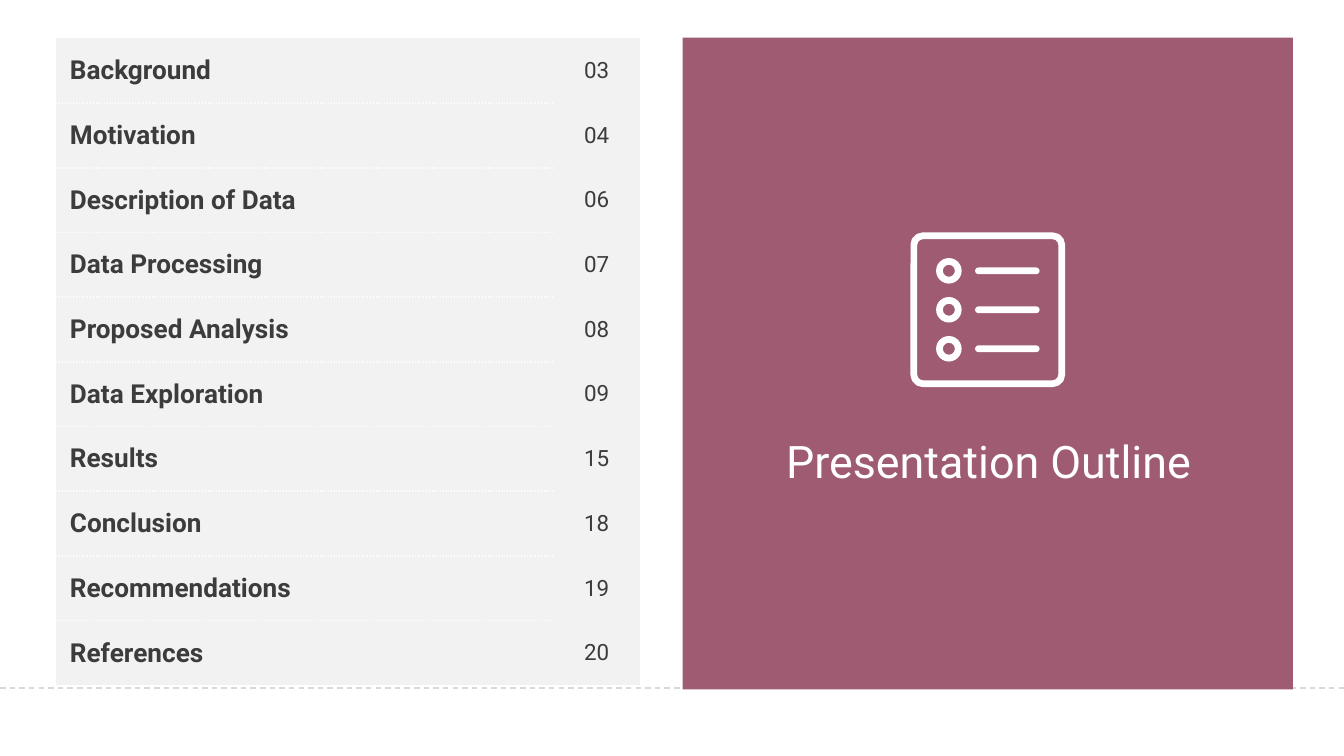
from lxml.etree import SubElement
from pptx import Presentation
from pptx.dml.color import RGBColor
from pptx.enum.dml import MSO_LINE
from pptx.enum.shapes import MSO_CONNECTOR, MSO_SHAPE
from pptx.enum.text import MSO_ANCHOR, MSO_AUTO_SIZE, PP_ALIGN
from pptx.oxml import parse_xml
from pptx.oxml.ns import nsdecls, qn
from pptx.util import Pt

PX = 4572  # EMU per px, 200 px to the inch
FONT = "Roboto"
COLORS = {
    "panel": "9F5B72",
    "cell": "F2F2F2",
    "text": "3C3C3C",
    "white": "FFFFFF",
    "rule": "D9D9D9",
}
NO_TABLE_STYLE = "{2D5ABB26-0587-4C30-8999-92F81FD0307C}"
OUTLINE = [
    ("Background", "03"),
    ("Motivation", "04"),
    ("Description of Data", "06"),
    ("Data Processing", "07"),
    ("Proposed Analysis", "08"),
    ("Data Exploration", "09"),
    ("Results", "15"),
    ("Conclusion", "18"),
    ("Recommendations", "19"),
    ("References", "20"),
]


def px(*lengths):
    return [length * PX for length in lengths]


def color(name):
    return RGBColor.from_string(COLORS[name])


def add_filled(shapes, kind, box, fill):
    shape = shapes.add_shape(kind, *px(*box))
    shape.shadow.inherit = False
    shape.fill.solid()
    shape.fill.fore_color.rgb = color(fill)
    shape.line.fill.background()
    return shape


def format_paragraph(paragraph, size, color_name, bold=False, align=PP_ALIGN.LEFT):
    paragraph.alignment = align
    for run in paragraph.runs:
        run.font.name = FONT
        run.font.size = Pt(size)
        run.font.bold = bold
        run.font.color.rgb = color(color_name)


def add_footer_rule(slide, left, top, width):
    rule = slide.shapes.add_connector(
        MSO_CONNECTOR.STRAIGHT, *px(left, top, left + width, top))
    rule.line.color.rgb = color("rule")
    rule.line.width = Pt(0.75)
    rule.line.dash_style = MSO_LINE.DASH
    SubElement(rule._element.spPr, qn("a:effectLst"))


def set_dotted_borders(cell, sides):
    """Draw white dotted borders on the sides, given in the order T, B."""
    for index, side in enumerate(sides):
        border = parse_xml(
            f'<a:ln{side} {nsdecls("a")} w="{Pt(1)}"><a:solidFill>'
            f'<a:srgbClr val="{COLORS["white"]}"/></a:solidFill>'
            f'<a:prstDash val="sysDot"/></a:ln{side}>')
        cell._tc.get_or_add_tcPr().insert(index, border)


def fill_cell(cell, text, size, bold, align):
    cell.text_frame.text = text
    format_paragraph(cell.text_frame.paragraphs[0], size, "text", bold, align)
    cell.vertical_anchor = MSO_ANCHOR.MIDDLE
    cell.margin_left = cell.margin_right = 20 * PX
    cell.margin_top = cell.margin_bottom = 20 * PX
    cell.fill.solid()
    cell.fill.fore_color.rgb = color("cell")


def add_outline_table(slide, left, top, width, height):
    frame = slide.shapes.add_table(
        len(OUTLINE), 2, *px(left, top, width, height))
    table = frame.table
    table.first_row = table.horz_banding = False
    table._tbl.tblPr.find(qn("a:tableStyleId")).text = NO_TABLE_STYLE
    page_width = 128
    table.columns[0].width, table.columns[1].width = px(
        width - page_width, page_width)
    for index, (topic, page) in enumerate(OUTLINE):
        table.rows[index].height = height * PX // len(OUTLINE)
        topic_cell, page_cell = table.cell(index, 0), table.cell(index, 1)
        fill_cell(topic_cell, topic, 14, True, PP_ALIGN.LEFT)
        fill_cell(page_cell, page, 12, False, PP_ALIGN.CENTER)
        set_dotted_borders(topic_cell, "TB" if index else "B")


def add_list_icon(slide, left, top, size):
    stroke, ring, pitch, bar = 10, 38, 58, 96
    shapes = slide.shapes.add_group_shape().shapes
    inner = size - stroke
    frame = shapes.add_shape(
        MSO_SHAPE.ROUNDED_RECTANGLE,
        *px(left + stroke // 2, top + stroke // 2, inner, inner))
    frame.shadow.inherit = False
    frame.adjustments[0] = 0.06
    frame.fill.background()
    frame.line.color.rgb = color("white")
    frame.line.width = stroke * PX
    for index in range(3):
        y = top + ring + index * pitch
        bullet = add_filled(
            shapes, MSO_SHAPE.DONUT, (left + ring, y, ring, ring), "white")
        bullet.adjustments[0] = stroke / ring
        line = add_filled(
            shapes, MSO_SHAPE.ROUNDED_RECTANGLE,
            (left + bar, y + (ring - stroke) // 2, bar, stroke), "white")
        line.adjustments[0] = 0.5


def add_title_panel(slide, left, top, width, height):
    add_filled(slide.shapes, MSO_SHAPE.RECTANGLE,
               (left, top, width, height), "panel")
    icon_size = 230
    add_list_icon(slide, left + (width - icon_size) // 2, top + 290, icon_size)

    title = slide.shapes.title
    slide.shapes._spTree.append(title._element)  # bring in front of the panel
    title.left, title.top, title.width, title.height = px(
        left + 88, top + 590, 734, 80)
    text_frame = title.text_frame
    text_frame.text = "Presentation Outline"
    text_frame.word_wrap = True
    text_frame.auto_size = MSO_AUTO_SIZE.SHAPE_TO_FIT_TEXT
    text_frame.vertical_anchor = MSO_ANCHOR.MIDDLE
    text_frame.margin_left = text_frame.margin_right = 0
    text_frame.margin_top = text_frame.margin_bottom = 0
    format_paragraph(text_frame.paragraphs[0], 24, "white",
                     align=PP_ALIGN.CENTER)


def main():
    presentation = Presentation()
    presentation.slide_width, presentation.slide_height = px(2000, 1125)
    slide = presentation.slides.add_slide(presentation.slide_layouts[5])
    add_footer_rule(slide, 0, 1024, 2000)
    add_outline_table(slide, 84, 57, 868, 963)
    add_title_panel(slide, 1016, 56, 908, 970)
    presentation.save("out.pptx")


if __name__ == "__main__":
    main()
